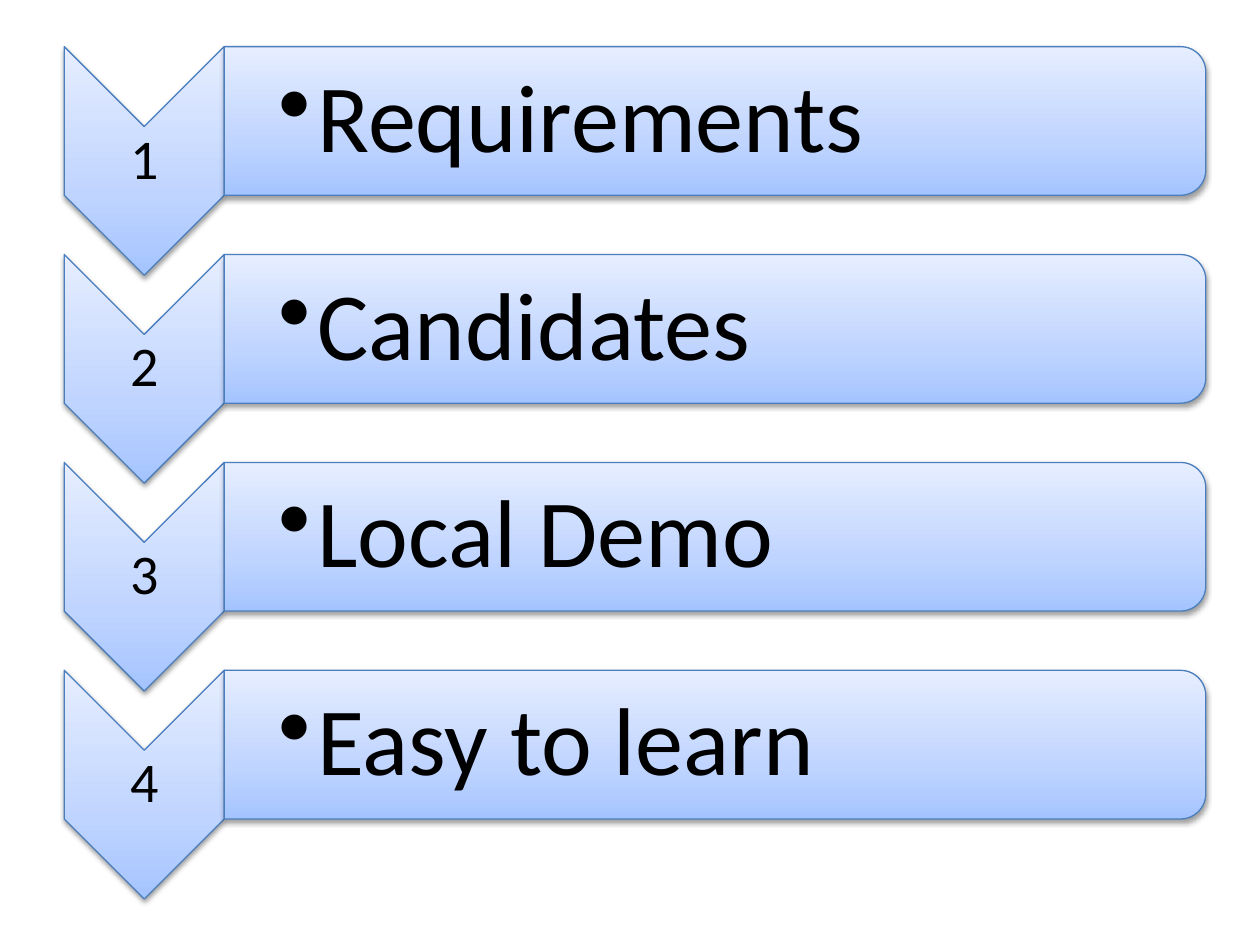
import copy
import math

import lxml.etree
import pptx
import pptx.dml.color
import pptx.enum.text
import pptx.oxml.ns
import pptx.util

Inches = pptx.util.Inches
Pt = pptx.util.Pt
RGB = pptx.dml.color.RGBColor
qn = pptx.oxml.ns.qn

BLACK = RGB(0x00, 0x00, 0x00)
OUTLINE = RGB(0x4B, 0x7E, 0xBC)
GRADIENT = [(0, RGB(0xA4, 0xC4, 0xFF)),
            (0.35, RGB(0xBF, 0xD4, 0xFF)),
            (1, RGB(0xE6, 0xEE, 0xFF))]

STEPS = ["Requirements", "Candidates", "Local Demo", "Easy to learn"]
TOP, PITCH = 0.37, 1.65
LEFT, BAR_LEFT, BAR_RIGHT = 0.51, 1.78, 9.57
BAR_HEIGHT, RADIUS = 1.18, 0.2
MIDDLE = (LEFT + BAR_LEFT) / 2
NOTCH = (BAR_LEFT - LEFT) / 2


def add_outline(page, points):
    """Draw a closed outline with the shared gradient, line and shadow."""
    corners = [(Inches(x), Inches(y)) for x, y in points]
    builder = page.shapes.build_freeform(*corners[0])
    builder.add_line_segments(corners[1:], close=True)
    shape = builder.convert_to_shape()

    shape.fill.gradient()
    shape.fill.gradient_angle = 90
    stop_list = shape._element.spPr.find(".//" + qn("a:gsLst"))
    stop_list.append(copy.deepcopy(stop_list[-1]))
    for stop, (position, color) in zip(shape.fill.gradient_stops, GRADIENT):
        stop.position = position
        stop.color.rgb = color
    shape.line.color.rgb = OUTLINE
    shape.line.width = Pt(0.75)

    shape.shadow.inherit = False
    effects = shape._element.spPr.find(qn("a:effectLst"))
    shadow = lxml.etree.SubElement(
        effects, qn("a:outerShdw"), blurRad=str(Pt(3.1)), dist=str(Pt(1.6)),
        dir="5400000", rotWithShape="0")
    color = lxml.etree.SubElement(shadow, qn("a:srgbClr"), val="000000")
    lxml.etree.SubElement(color, qn("a:alpha"), val="38000")
    return shape


def add_text(shape, text, size, align, margins, space_after):
    """Write one vertically centred paragraph and return it."""
    frame = shape.text_frame
    frame.word_wrap = True
    frame.vertical_anchor = pptx.enum.text.MSO_ANCHOR.MIDDLE
    (frame.margin_left, frame.margin_top,
     frame.margin_right, frame.margin_bottom) = map(Inches, margins)
    para = frame.paragraphs[0]
    para.alignment = align
    para.line_spacing = 0.9
    after = lxml.etree.SubElement(para._p.get_or_add_pPr(), qn("a:spcAft"))
    lxml.etree.SubElement(after, qn("a:spcPct"), val=str(space_after * 1000))
    span = para.add_run()
    span.text = text
    span.font.name = "Calibri"
    span.font.size = Pt(size)
    span.font.color.rgb = BLACK
    return para


deck = pptx.Presentation()
deck.slide_width, deck.slide_height = Inches(10), Inches(7.5)
page = deck.slides.add_slide(deck.slide_layouts[6])

for index, step in enumerate(STEPS):
    top = TOP + index * PITCH
    bottom = top + BAR_HEIGHT

    # Numbered chevron pointing down
    chevron = add_outline(page, [
        (BAR_LEFT, top), (BAR_LEFT, bottom), (MIDDLE, bottom + NOTCH),
        (LEFT, bottom), (LEFT, top), (MIDDLE, top + NOTCH)])
    add_text(chevron, str(index + 1), 32, pptx.enum.text.PP_ALIGN.CENTER,
             (0.02, 0.66, 0.02, 0.66), 35)

    # Bar with rounded right corners
    arc = [(RADIUS * math.sin(math.radians(angle)),
            RADIUS * math.cos(math.radians(angle)))
           for angle in range(0, 91, 9)]
    center = BAR_RIGHT - RADIUS
    upper = [(center + x, top + RADIUS - y) for x, y in arc]
    lower = [(center + x, bottom - RADIUS + y) for x, y in reversed(arc)]
    bar = add_outline(
        page, [(BAR_LEFT, top), *upper, *lower, (BAR_LEFT, bottom)])
    para = add_text(bar, step, 55, pptx.enum.text.PP_ALIGN.LEFT,
                    (0.43, 0.1, 0.1, 0.1), 15)

    # Hanging bullet
    para.level = 1
    settings = para._p.get_or_add_pPr()
    settings.set("marL", str(Inches(0.31)))
    settings.set("indent", str(-Inches(0.31)))
    lxml.etree.SubElement(settings, qn("a:buChar"), char="•")

deck.save("out.pptx")
